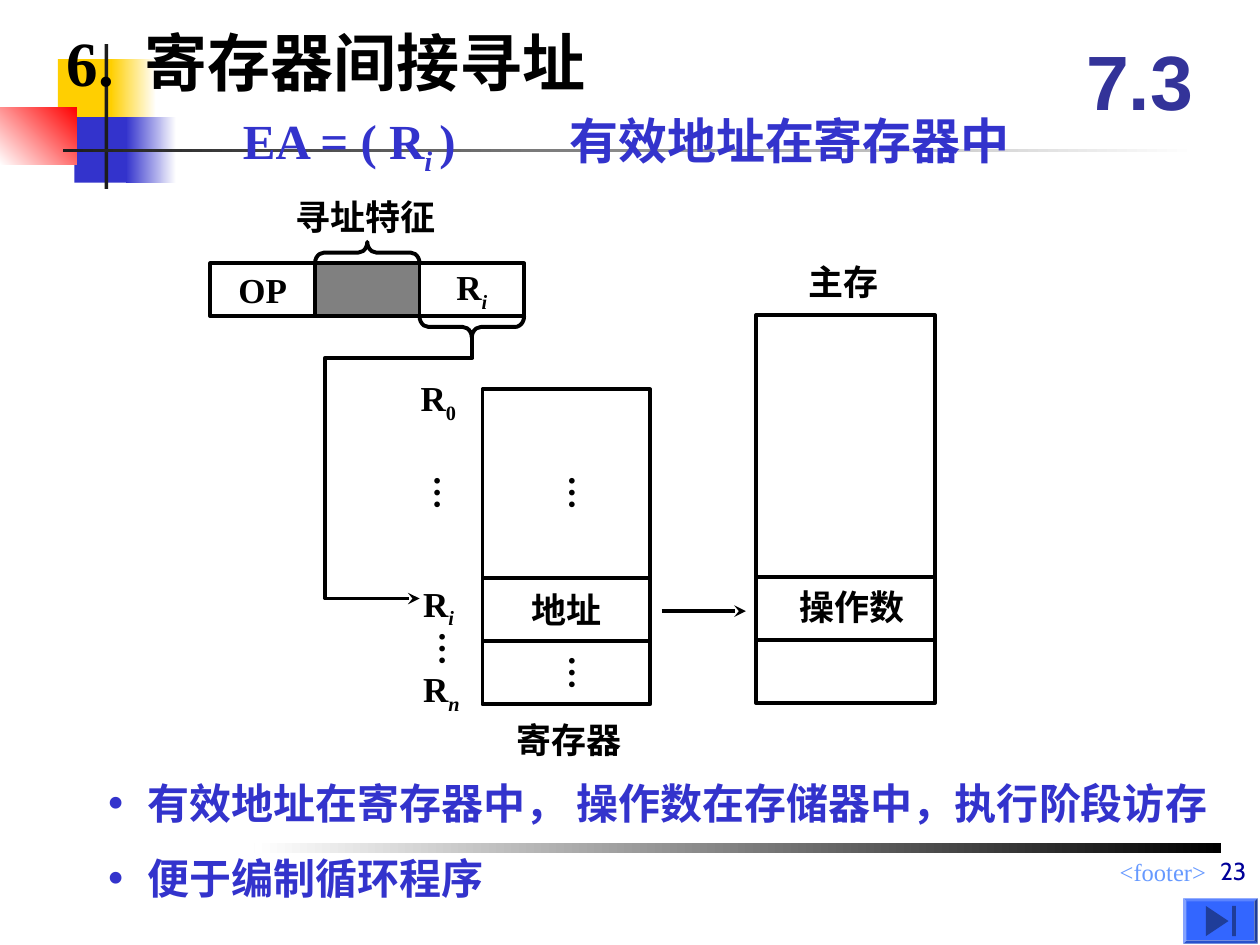
from lxml import etree
from pptx import Presentation, util as u
from pptx.dml import color as col
from pptx.enum import shapes as sh, text as tx
from pptx.oxml import ns

HUES = {"black": "000000", "white": "FFFFFF", "gold": "FFCF01", "blue": "3333CC",
        "red": "FF0000", "ink": "1C1C1C", "sky": "6699FF", "navy": "333399",
        "deep": "000099", "key": "3366FF", "dark": "1F3D99", "gray": "808080"}
LABEL = {"size": 20, "name": "Times New Roman", "bold": True, "hue": "black"}
FORM = sh.MSO_SHAPE
LEFT, MID, RIGHT = tx.PP_ALIGN.LEFT, tx.PP_ALIGN.CENTER, tx.PP_ALIGN.RIGHT


def tint(name):
    """Return the named colour."""
    return col.RGBColor.from_string(HUES[name])


def add_sub(node, tag, **vals):
    """Append an XML child with attributes."""
    return etree.SubElement(node, ns.qn(tag), {k: str(v) for k, v in vals.items()})


def dress(font, form):
    """Set font attributes from a dict."""
    for key, val in form.items():
        if key == "hue":
            font.color.rgb = tint(val)
        else:
            setattr(font, key, u.Pt(val) if key == "size" else val)


def fill_para(para, words, form, align=LEFT):
    """Write the words, with a lowered second part if given a tuple."""
    para.alignment = align
    parts = (words,) if isinstance(words, str) else words
    for num, part in enumerate(parts):
        run = para.add_run()
        run.text = part
        dress(run.font, form)
        if num == 1:
            run.font.italic = not part.isdigit()
            run._r.get_or_add_rPr().set("baseline", "-25000")


def hang(para, width):
    """Give the paragraph a hanging indent."""
    props = para._p.get_or_add_pPr()
    props.set("marL", str(u.Inches(width)))
    props.set("indent", str(-u.Inches(width)))
    return props


def set_frame(frame, **form):
    """Set frame attributes over the usual insets."""
    base = {"margin_left": u.Inches(0.1), "margin_right": u.Inches(0.1),
            "margin_top": u.Inches(0.05), "margin_bottom": u.Inches(0.05),
            "word_wrap": False, "vertical_anchor": tx.MSO_ANCHOR.TOP}
    for key, val in {**base, **form}.items():
        setattr(frame, key, val)


def put_text(pen, box, words, form=LABEL, align=LEFT, **frame):
    """Add a text box."""
    note = pen.add_textbox(*map(u.Inches, box))
    set_frame(note.text_frame, **frame)
    fill_para(note.text_frame.paragraphs[0], words, form, align)
    return note


def put_dots(pen, x, y):
    """Add an upright ellipsis."""
    wide, thin = u.Inches(0.1), u.Inches(0.05)
    dots = put_text(pen, (x, y, 0.53, 0.38), "…", margin_left=thin, margin_right=thin,
                    margin_top=wide, margin_bottom=wide)
    dots.element.txBody.bodyPr.set("vert", "eaVert")


def put_shape(pen, box, fill=None, line=None, kind=FORM.RECTANGLE, turn=0):
    """Add a preset shape with a plain or no fill."""
    part = pen.add_shape(kind, *map(u.Inches, box))
    part.shadow.inherit = False
    part.rotation = turn
    paint(part, fill, line)
    return part


def paint(part, fill, line):
    """Set the fill and line of a shape."""
    if fill:
        part.fill.solid()
        part.fill.fore_color.rgb = tint(fill)
    else:
        part.fill.background()
    if line:
        part.line.color.rgb = tint(line)
        part.line.width = u.Pt(2.25)
    else:
        part.line.fill.background()


def put_fade(pen, box, first, last, angle=180):
    """Add a rectangle with a two-colour gradient."""
    part = put_shape(pen, box)
    part.fill.gradient()
    part.fill.gradient_angle = angle
    for stop, hue in zip(part.fill.gradient_stops, (first, last)):
        stop.color.rgb = tint(hue)


def add_head(part):
    """Put an arrowhead on the end of a line."""
    part.line.width = u.Pt(2.25)
    add_sub(part.line._get_or_add_ln(), "a:tailEnd", type="stealth")


def put_line(pen, x1, y1, x2, y2):
    """Add a straight black line."""
    line = pen.add_connector(sh.MSO_CONNECTOR.STRAIGHT, *map(u.Inches, (x1, y1, x2, y2)))
    line.line.color.rgb = tint("black")
    line.line.width = u.Pt(2.25)
    add_sub(line.element.spPr, "a:effectLst")
    return line


def put_brace(pen, x, y, turn):
    """Add a brace lying over a field, from its left top corner."""
    long, deep = 0.83, 0.17
    box = (x + (long - deep) / 2, y - (long - deep) / 2, deep, long)
    brace = put_shape(pen, box, None, "black", FORM.LEFT_BRACE, turn)
    brace.adjustments[0] = 0.42


def draw_decor(pen, x, y):
    """Draw the blocks and rules of the template."""
    put_shape(pen, (x + 0.46, y + 0.12, 0.48, 0.52), "gold")
    put_fade(pen, (x + 0.88, y + 0.12, 0.36, 0.52), "white", "gold")
    put_shape(pen, (x + 0.59, y + 0.58, 0.46, 0.52), "blue")
    put_fade(pen, (x + 1, y + 0.58, 0.4, 0.52), "white", "blue")
    put_fade(pen, (x, y + 0.5, 0.61, 0.46), "red", "white", 225)
    put_shape(pen, (x + 0.83, y, 0.03, 1.15), "ink")
    put_fade(pen, (x + 0.5, y + 0.83, 9, 0.03), "white", "ink")
    put_fade(pen, (x + 2.02, y + 6.34, 7.67, 0.08), "black", "white")


def draw_code(pen, x, y):
    """Draw the instruction word with its braces."""
    wide, high = 0.83, 0.42
    fields = ("OP", None), ("", "gray"), (("R", "i"), None)
    for num, (words, fill) in enumerate(fields):
        cell = put_shape(pen, (x + num * wide, y, wide, high), fill, "black")
        if words:
            set_frame(cell.text_frame, vertical_anchor=tx.MSO_ANCHOR.MIDDLE)
            fill_para(cell.text_frame.paragraphs[0], words, LABEL, MID)
    put_brace(pen, x + wide, y - 0.17, 90)
    put_brace(pen, x + 2 * wide, y + high, 270)
    put_text(pen, (x + 0.58, y - 0.59, 1.4, 0.44), "寻址特征", word_wrap=True)


def draw_path(pen, x, y, w, h):
    """Draw the bent arrow from the field to the register."""
    spots = [(x + w, y), (x + w, y + 0.17), (x, y + 0.17), (x, y + h), (x + 0.75, y + h)]
    spots = [tuple(map(u.Inches, spot)) for spot in spots]
    form = pen.build_freeform(*spots[0])
    form.add_line_segments(spots[1:], close=False)
    bent = form.convert_to_shape()
    bent.shadow.inherit = False
    paint(bent, None, "black")
    add_head(bent)


def draw_regs(pen, x, y, w):
    """Draw the register stack with its labels."""
    for top, high in ((0, 1.5), (1.5, 0.5), (2, 0.5)):
        cell = put_shape(pen, (x, y + top, w, high), None, "black")
        if top == 1.5:
            set_frame(cell.text_frame, vertical_anchor=tx.MSO_ANCHOR.MIDDLE)
            fill_para(cell.text_frame.paragraphs[0], "地址", LABEL, MID)
    for left, top in ((0.49, 0.58), (0.49, 2.01), (-0.58, 0.58), (-0.54, 1.82)):
        put_dots(pen, x + left, y + top)
    for sub, left, top in (("0", -0.59, -0.15), ("i", -0.57, 1.48), ("n", -0.57, 2.16)):
        put_text(pen, (x + left, y + top, 0.57, 0.48), ("R", sub), word_wrap=True)
    put_text(pen, (x + 0.17, y + 2.56, 1.42, 0.44), "寄存器", word_wrap=True)


def draw_store(pen, x, y, w, h):
    """Draw the main memory with its operand row."""
    put_shape(pen, (x, y, w, h), None, "black")
    for top in (2.08, 2.58):
        put_line(pen, x, y + top, x + w, y + top)
    put_text(pen, (x + 0.25, y + 2.1, 1.13, 0.44), "操作数", word_wrap=True)
    put_text(pen, (x + 0.32, y - 0.48, 0.85, 0.44), "主存", word_wrap=True)


def draw_key(pen, x, y, w, h):
    """Draw the button that leads to the end."""
    put_shape(pen, (x, y, w, h), "key", None, FORM.BEVEL).adjustments[0] = 0.07
    put_shape(pen, (x + 0.15, y + 0.09, 0.24, 0.18), "dark", None, FORM.ISOSCELES_TRIANGLE, 90)
    put_shape(pen, (x + 0.39, y + 0.06, 0.03, 0.24), "dark")


def fill_holder(holder, box, lines, form, width, mark=None):
    """Place a placeholder and write its hanging lines."""
    for key, val in zip(("left", "top", "width", "height"), box):
        setattr(holder, key, u.Inches(val))
    frame = holder.text_frame
    set_frame(frame, word_wrap=True, auto_size=tx.MSO_AUTO_SIZE.NONE)
    for num, words in enumerate(lines):
        para = frame.add_paragraph() if num else frame.paragraphs[0]
        para.space_before = u.Pt(14 if num else 0)
        props = hang(para, width)
        if mark:
            add_sub(add_sub(props, "a:buClr"), "a:srgbClr", val=HUES["blue"])
            add_sub(props, "a:buSzPct", val=117000)
            add_sub(props, "a:buFont", typeface="Times New Roman")
            add_sub(props, "a:buChar", char=mark)
        fill_para(para, words, form)


def main():
    """Build the slide."""
    deck = Presentation()
    deck.slide_width, deck.slide_height = u.Inches(10), u.Inches(7.5)
    slide = deck.slides.add_slide(deck.slide_layouts[1])
    pen = slide.shapes
    title, body = pen.title, slide.placeholders[1]
    draw_decor(pen, 0, 0.35)
    for holder in (title, body):
        pen.element.append(holder.element)
    blue = {**LABEL, "hue": "blue"}
    fill_holder(title, (0.43, 0.14, 4.6, 0.7), ["6.\t寄存器间接寻址"], {**LABEL, "size": 36}, 0.62)
    fill_holder(body, (0.75, 6.12, 9.25, 1.17),
                ["有效地址在寄存器中， 操作数在存储器中，执行阶段访存", "便于编制循环程序"],
                {**blue, "size": 24}, 0.32, "•")
    put_text(pen, (1.83, 0.83, 1.91, 0.63), ("EA = ( R", "i ", ")"), {**blue, "size": 28})
    put_text(pen, (4.42, 0.83, 3.75, 0.57), "有效地址在寄存器中", {**blue, "size": 28},
             word_wrap=True)
    put_text(pen, (8.42, 0.17, 1.25, 0.92), "7.3",
             {"size": 44, "name": "Arial", "bold": True, "hue": "navy"}, MID,
             word_wrap=True, vertical_anchor=tx.MSO_ANCHOR.MIDDLE)
    draw_code(pen.add_group_shape().shapes, 1.67, 2.09)
    draw_path(pen, 2.58, 2.67, 1.17, 2.08)
    draw_regs(pen.add_group_shape().shapes, 3.83, 3.09, 1.33)
    draw_store(pen.add_group_shape().shapes, 6, 2.5, 1.42, 3.08)
    add_head(put_line(pen, 5.25, 4.85, 5.92, 4.85))
    draw_key(pen.add_group_shape().shapes, 9.39, 7.13, 0.59, 0.36)
    put_text(pen, (3.92, 6.75, 5.75, 0.26), "<footer>",
             {"size": 14, "name": "Times New Roman", "hue": "sky"}, RIGHT, word_wrap=True)
    put_text(pen, (5.21, 6.58, 4.78, 0.5), "23", {"size": 14, "name": "Cabin", "hue": "deep"},
             RIGHT, word_wrap=True, vertical_anchor=tx.MSO_ANCHOR.BOTTOM)
    deck.save("out.pptx")


if __name__ == "__main__":
    main()
